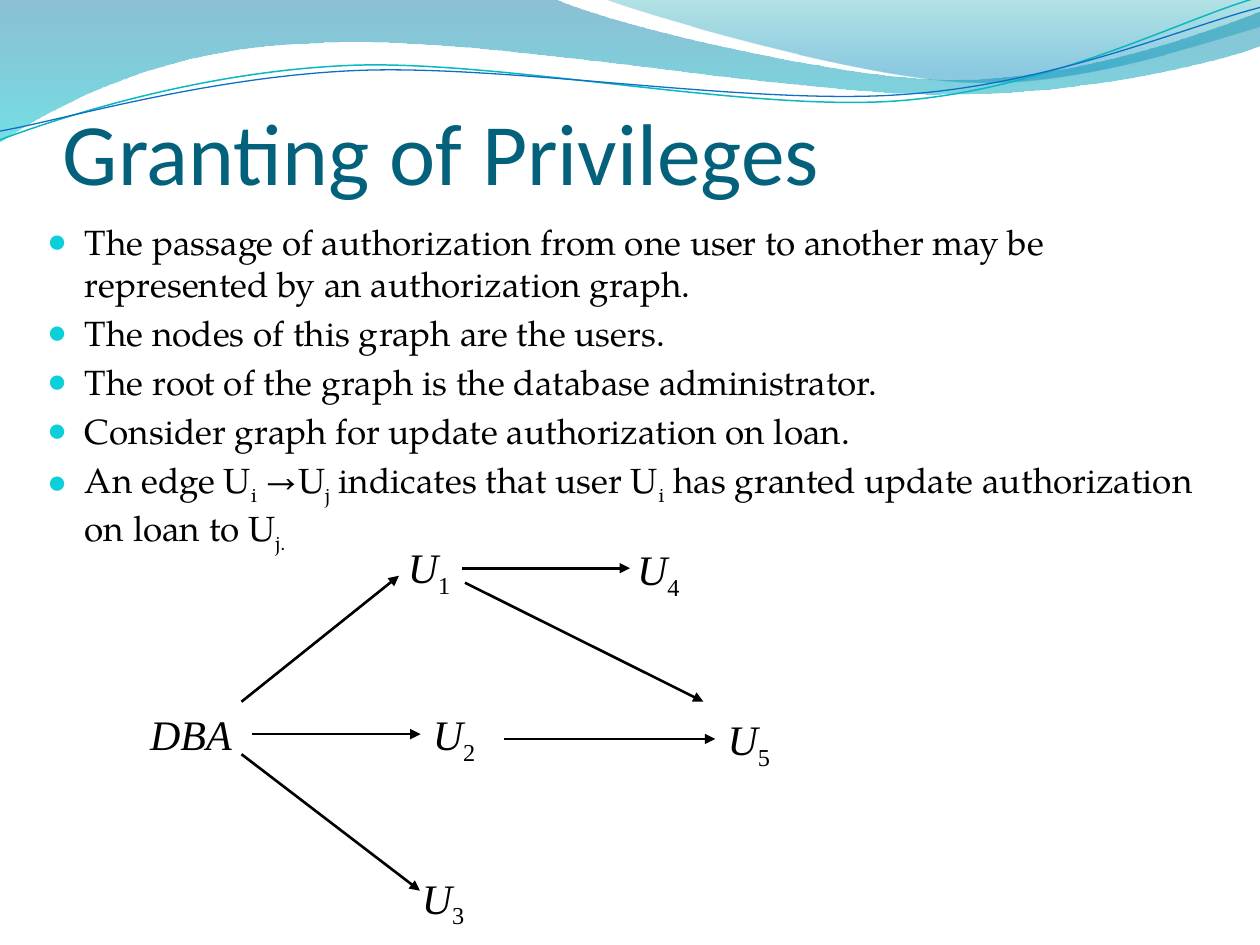
from math import cos, radians, sin

from lxml.etree import SubElement
from pptx import Presentation
from pptx.dml.color import RGBColor
from pptx.enum.shapes import MSO_CONNECTOR as Link
from pptx.enum.text import MSO_ANCHOR as Anchor, MSO_AUTO_SIZE as Fit
from pptx.oxml.ns import qn
from pptx.util import Pt

BLACK = RGBColor(0x00, 0x00, 0x00)
TITLE_TEAL = RGBColor(0x04, 0x61, 0x7B)
BULLET_CYAN = RGBColor(0x0B, 0xD0, 0xD9)
LINE_TEAL = RGBColor(0x0A, 0xB8, 0xBF)
LINE_BLUE = RGBColor(0x0F, 0x6F, 0xC6)
DEEP_BLUE = RGBColor(0x00, 0x74, 0xA1)
AQUA = RGBColor(0x00, 0xC6, 0xCF)
SEA_GREEN = RGBColor(0x00, 0xA1, 0xA9)
SKY_BLUE = RGBColor(0x00, 0x8B, 0xBF)

LEFT = 1
STRAND_TILT = -2.7

TITLE_FONT = {"name": "Calibri", "size": Pt(50)}
BODY_FONT = {"name": "TeX Gyre Pagella", "size": Pt(20)}
NODE_FONT = {"name": "Times New Roman", "size": Pt(24), "italic": True}
TITLE_FRAME = {"word_wrap": True, "vertical_anchor": Anchor.BOTTOM,
               "margin_left": 0, "margin_right": 0, "margin_bottom": 0}
BODY_FRAME = {"word_wrap": True}
NODE_FRAME = {"word_wrap": False, "auto_size": Fit.SHAPE_TO_FIT_TEXT}

BULLETS = [
    "The passage of authorization from one user to another may be "
    "represented by an authorization graph.",
    "The nodes of this graph are the users.",
    "The root of the graph is the database administrator.",
    "Consider graph for update authorization on loan.",
    "An edge U_i_ →U_j_ indicates that user U_i_ has granted update "
    "authorization on loan to U_j.",
]

WAVES = [
    ([(0, 0), (316.8, -0.7), (342.7, 12.2, 478.1, 45.4, 545.8, 45.4),
      (614.2, 45.4, 689.8, 18.7, 720, 6.5), (720.7, 25.9),
      (707.8, 31.7, 626.4, 54.7, 537.1, 54), (447.8, 54, 275, 20.2, 185, 24.5),
      (92.9, 25.9, 33.1, 59.8, -0.7, 81.4)],
     [(0, DEEP_BLUE, 45), (1, AQUA, 55)]),
    ([(344.9, -0.7), (366.5, 7.9, 491, 44.6, 553.7, 46.8),
      (616.3, 49.7, 691.9, 23, 720, 15.1), (720, 0)],
     [(0, SEA_GREEN, 30), (0.8, SKY_BLUE, 45)]),
]
STRANDS = [
    ([(0, 79.9), (34.6, 67, 113.8, 41, 199.4, 37.4),
      (284.4, 33.8, 427, 64.1, 513.4, 57.6), (599.8, 51.1, 675.4, 10.8, 718.6, -1.4)],
     (359.3, 41.4), LINE_TEAL, 0.85),
    ([(0, 74.9), (33.8, 69.1, 118.1, 43.9, 203.8, 40.3),
      (290.2, 36.7, 429.8, 60.5, 516.2, 54), (601.9, 48.2, 677.5, 15.1, 720, 4.3)],
     (359.6, 42.5), LINE_BLUE, 0.75),
]

NODES = {
    "U_1": (226, 306, 39.5),
    "U_4": (357, 307.2, 39.5),
    "U_2": (240.3, 401.5, 39.5),
    "U_5": (408.7, 404.3, 39.5),
    "U_3": (234, 494.8, 39.5),
    "DBA": (78.7, 401.3, 61),
}
EDGES = [
    ((138, 401), (228, 329), None),
    ((264, 324.7), (360, 324.7), None),
    ((144, 419.5), (240.3, 419.5), "U_2"),
    ((138, 431), (240, 509), None),
    ((288, 422.3), (408.7, 422.3), "U_5"),
    ((265.7, 333), (402, 401), None),
]


def assign(target, values):
    for name, value in values.items():
        setattr(target, name, value)


def turn(steps, center, degrees):
    cosine, sine = cos(radians(degrees)), sin(radians(degrees))
    turned = []
    for step in steps:
        flat = []
        for x, y in zip(step[::2], step[1::2]):
            across, down = x - center[0], y - center[1]
            flat += [center[0] + across * cosine - down * sine,
                     center[1] + across * sine + down * cosine]
        turned.append(tuple(flat))
    return turned


class Sketch:
    def __init__(self, page):
        self.page = page

    def outline(self, steps, close):
        points = [(Pt(x), Pt(y)) for step in steps
                  for x, y in zip(step[::2], step[1::2])]
        builder = self.page.shapes.build_freeform(*points[0])
        builder.add_line_segments(points[1:], close=close)
        shape = builder.convert_to_shape()
        shape.shadow.inherit = False
        segments = iter(list(shape._element.iter(qn("a:lnTo"))))
        for step in steps[1:]:
            segment = next(segments)
            if len(step) == 6:
                curve = segment.makeelement(qn("a:cubicBezTo"))
                segment.addprevious(curve)
                for corner in (segment, next(segments), next(segments)):
                    curve.append(corner[0])
                    corner.getparent().remove(corner)
        return shape

    def wave(self, steps, stops):
        shape = self.outline(steps, True)
        shape.line.fill.background()
        shape.fill.gradient()
        shape.fill.gradient_angle = 270
        for stop, (position, color, _) in zip(shape.fill.gradient_stops, stops):
            stop.position = position
            stop.color.rgb = color
        for tint, (_, _, opacity) in zip(shape._element.iter(qn("a:srgbClr")), stops):
            SubElement(tint, qn("a:alpha"), val=str(opacity * 1000))

    def strand(self, steps, center, color, width):
        shape = self.outline(turn(steps, center, -STRAND_TILT), False)
        shape.rotation = STRAND_TILT
        shape.fill.background()
        shape.line.color.rgb = color
        shape.line.width = Pt(width)

    def text(self, area, lines, font, color=BLACK, frame_format=None, bullet=None):
        box = self.page.shapes.add_textbox(*map(Pt, area))
        frame = box.text_frame
        assign(frame, frame_format or {})
        for index, line in enumerate(lines):
            para = frame.paragraphs[0] if index == 0 else frame.add_paragraph()
            if bullet:
                self.bullet(para, bullet)
            for part, words in enumerate(line.split("_")):
                span = para.add_run()
                span.text = words
                assign(span.font, font)
                span.font.color.rgb = color
                if part % 2:
                    span.font.italic = False
                    span._r.get_or_add_rPr().set("baseline", "-25000")
        return box

    def bullet(self, para, color):
        para.space_before = Pt(4)
        properties = para._p.get_or_add_pPr()
        properties.set("marL", str(Pt(21.6)))
        properties.set("indent", str(-Pt(21.6)))
        tint = SubElement(properties, qn("a:buClr"))
        SubElement(tint, qn("a:srgbClr"), val=str(color))
        SubElement(properties, qn("a:buSzPct"), val="95000")
        SubElement(properties, qn("a:buFont"), typeface="Times New Roman")
        SubElement(properties, qn("a:buChar"), char="●")

    def arrow(self, start, end, target=None):
        edge = self.page.shapes.add_connector(Link.STRAIGHT, *map(Pt, start + end))
        if target:
            edge.end_connect(target, LEFT)
        edge.line.color.rgb = BLACK
        edge.line.width = Pt(1.5)
        SubElement(edge.line._get_or_add_ln(), qn("a:tailEnd"), type="triangle")
        SubElement(edge._element.spPr, qn("a:effectLst"))


def main():
    deck = Presentation()
    deck.slide_width, deck.slide_height = Pt(720), Pt(540)
    sketch = Sketch(deck.slides.add_slide(deck.slide_layouts[6]))
    for wave in WAVES:
        sketch.wave(*wave)
    for strand in STRANDS:
        sketch.strand(*strand)
    sketch.text((36, 26, 648, 90), ["Granting of Privileges"], TITLE_FONT,
                TITLE_TEAL, TITLE_FRAME)
    sketch.text((19.8, 122.5, 686, 175.5), BULLETS, BODY_FONT,
                frame_format=BODY_FRAME, bullet=BULLET_CYAN)
    boxes = {name: sketch.text((left, top, width, 36), [name], NODE_FONT,
                               frame_format=NODE_FRAME)
             for name, (left, top, width) in NODES.items()}
    for start, end, target in EDGES:
        sketch.arrow(start, end, boxes.get(target))
    deck.save("out.pptx")


if __name__ == "__main__":
    main()
